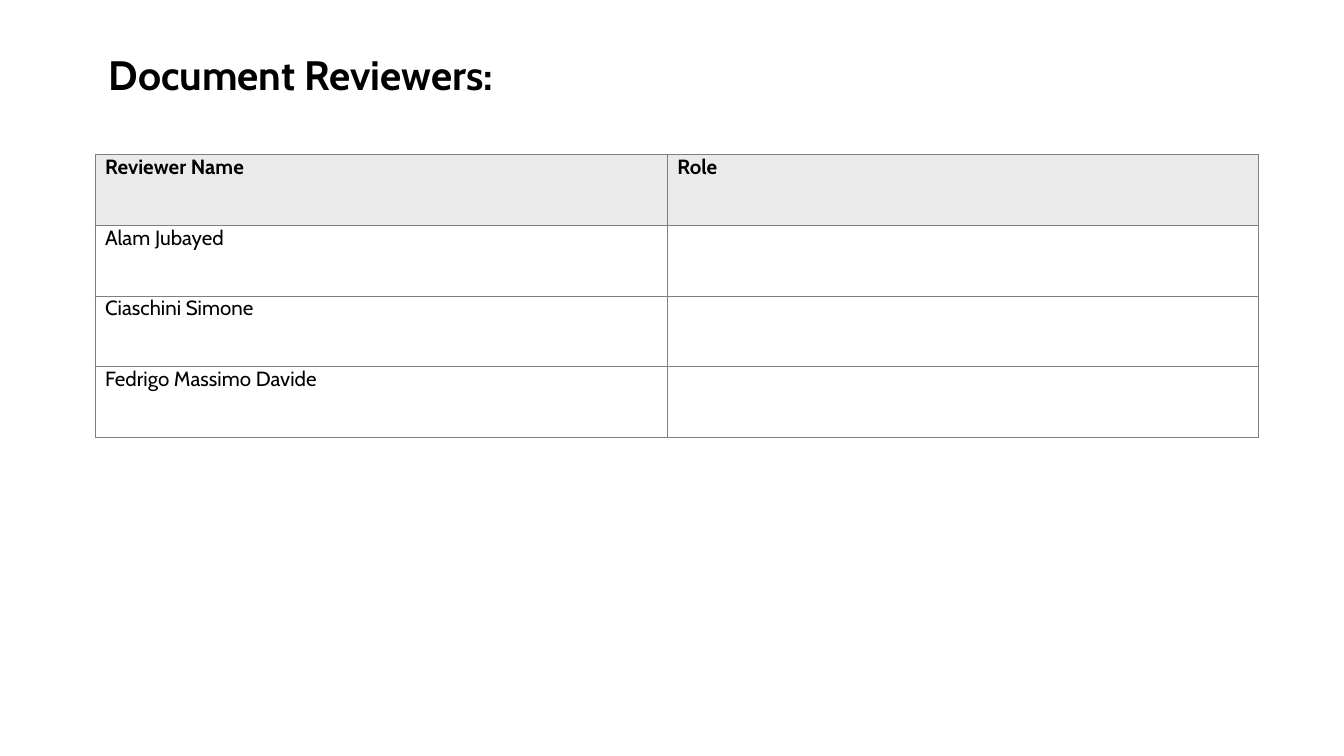
from lxml import etree
from pptx import Presentation
from pptx.dml.color import RGBColor
from pptx.enum import text
from pptx.oxml import ns
from pptx.util import Pt

COLORS = {"text": "000000", "header": "EAEAEA", "border": "7F7F7F"}
FONT = "Cabin"
LEFT = 51.1
COLUMN_WIDTHS = [306.6, 316.6]
ROW_HEIGHT = 37.9
ROWS = [
    ("Reviewer Name", "Role"),
    ("Alam Jubayed", ""),
    ("Ciaschini Simone", ""),
    ("Fedrigo Massimo Davide", ""),
]


def add_run(paragraph, content, size, bold):
    run = paragraph.add_run()
    run.text = content
    run.font.name = FONT
    run.font.size = Pt(size)
    run.font.bold = bold
    run.font.color.rgb = RGBColor.from_string(COLORS["text"])


def add_borders(cell):
    """Draw all four cell edges; call before filling, as lines precede the fill."""
    properties = cell._tc.get_or_add_tcPr()
    for edge in ("a:lnL", "a:lnR", "a:lnT", "a:lnB"):
        line = etree.SubElement(properties, ns.qn(edge), w=str(Pt(0.5)))
        fill = etree.SubElement(line, ns.qn("a:solidFill"))
        etree.SubElement(fill, ns.qn("a:srgbClr"), val=COLORS["border"])


presentation = Presentation()
presentation.slide_width = Pt(720)
presentation.slide_height = Pt(405)
slide = presentation.slides.add_slide(presentation.slide_layouts[5])

# Title
title = slide.shapes.title
title.left, title.top, title.width, title.height = Pt(LEFT), Pt(15.8), Pt(309), Pt(47.5)
frame = title.text_frame
frame.word_wrap = True
frame.auto_size = text.MSO_AUTO_SIZE.NONE
frame.vertical_anchor = text.MSO_ANCHOR.MIDDLE
frame.margin_left = frame.margin_right = Pt(7.2)
frame.margin_top = frame.margin_bottom = Pt(7.2)
paragraph = frame.paragraphs[0]
paragraph.alignment = text.PP_ALIGN.LEFT
paragraph.space_after = Pt(1)
add_run(paragraph, "Document Reviewers:", 22, True)

# Reviewer table
table = slide.shapes.add_table(
    len(ROWS), len(COLUMN_WIDTHS), Pt(LEFT), Pt(82.8),
    Pt(sum(COLUMN_WIDTHS)), Pt(ROW_HEIGHT * len(ROWS)),
).table
table.horz_banding = False
for column, width in zip(table.columns, COLUMN_WIDTHS):
    column.width = Pt(width)

for row_index, values in enumerate(ROWS):
    table.rows[row_index].height = Pt(ROW_HEIGHT)
    is_header = row_index == 0
    for column_index, value in enumerate(values):
        cell = table.cell(row_index, column_index)
        cell.margin_left = cell.margin_right = Pt(5.2)
        cell.margin_top = cell.margin_bottom = Pt(0)
        add_borders(cell)
        if is_header:
            cell.fill.solid()
            cell.fill.fore_color.rgb = RGBColor.from_string(COLORS["header"])
        else:
            cell.fill.background()
        if value:
            paragraph = cell.text_frame.paragraphs[0]
            paragraph.alignment = text.PP_ALIGN.JUSTIFY
            add_run(paragraph, value, 11, is_header)

presentation.save("out.pptx")
